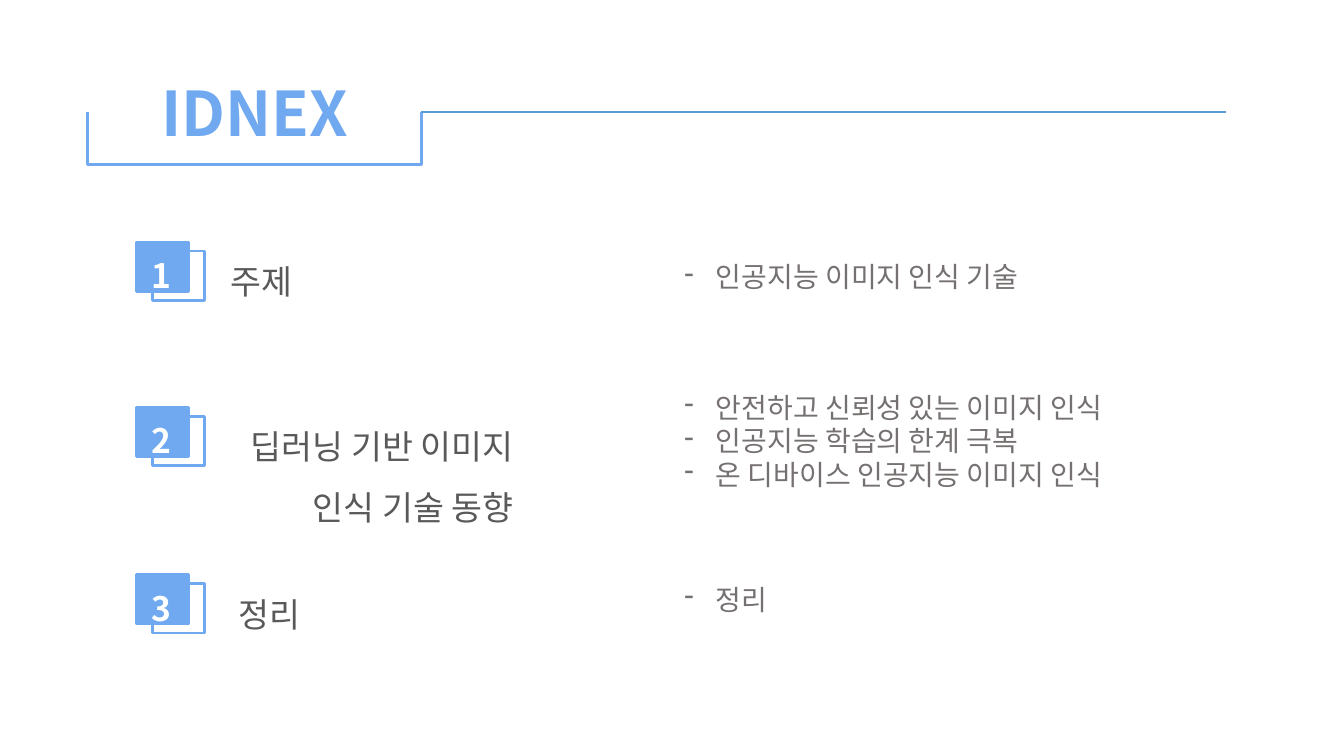
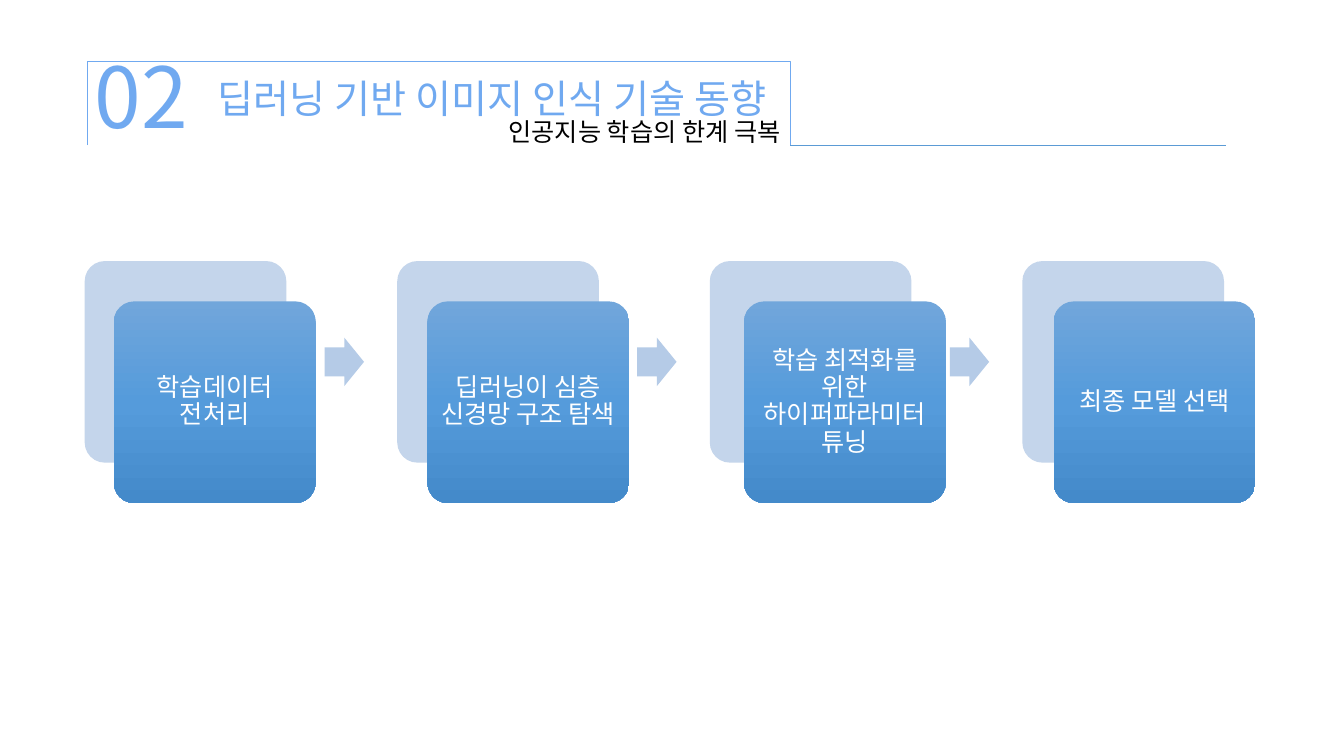
"""Build a two-slide deck on image recognition: an index and a process."""
from copy import deepcopy

from pptx import Presentation
from pptx import util as u
from pptx.dml.color import RGBColor
from pptx.enum import shapes, text
from pptx.oxml import ns, xmlchemy

PX = 9144
FONT = "Noto Sans CJK KR"
BLUE, RULE = "70A9F0", "5B9BD5"
WHITE, BLACK = "FFFFFF", "000000"
LABEL, DETAIL = "595959", "767171"
CARD_BACK, ARROW = "C4D5EB", "B5CBE7"
CARD_STOPS = [(0, "71A6DB"), (0.5, "559BDB"), (1, "448ACA")]
RULE_END = 1216
LEFT, CENTER, RIGHT = text.PP_ALIGN.LEFT, text.PP_ALIGN.CENTER, text.PP_ALIGN.RIGHT
SHAPE = shapes.MSO_SHAPE

TOPICS = [
    (240, 219, 83, LEFT, ["주제"], 253, ["인공지능 이미지 인식 기술"]),
    (404, 227, 292, RIGHT, ["딥러닝 기반 이미지", "인식 기술 동향"], 382,
     ["안전하고 신뢰성 있는 이미지 인식", "인공지능 학습의 한계 극복",
      "온 디바이스 인공지능 이미지 인식"]),
    (570, 227, 83, LEFT, ["정리"], 573, ["정리"]),
]
STEPS = [
    ("학습데이터 전처리", 29),
    ("딥러닝이 심층 신경망 구조 탐색", 30),
    ("학습 최적화를 위한 하이퍼파라미터 튜닝", 34),
    ("최종 모델 선택", 31),
]


def px(length):
    """Turn px into EMU."""
    return u.Emu(round(length * PX))


def rgb(value):
    """Turn a hex string into a colour."""
    return RGBColor.from_string(value)


def add_child(parent, tag, **attributes):
    """Append a drawing element to a parent."""
    child = xmlchemy.OxmlElement(tag)
    for key, value in attributes.items():
        child.set(key, value)
    parent.append(child)


def add_run(paragraph, words, size, color, bold=False):
    """Add one styled run with the deck's font for Latin and Korean."""
    run = paragraph.add_run()
    run.text = words
    run.font.size = u.Pt(size)
    run.font.bold = bold
    run.font.name = FONT
    run.font.color.rgb = rgb(color)
    add_child(run.font._element, "a:ea", typeface=FONT)


def add_text(slide, box, lines, size, color, bold=False, align=LEFT,
             spacing=None, wrap=True, dashed=False):
    """Add a text box with one paragraph per line."""
    frame = slide.shapes.add_textbox(*map(px, box)).text_frame
    frame.word_wrap = wrap
    for index, words in enumerate(lines):
        paragraph = frame.add_paragraph() if index else frame.paragraphs[0]
        paragraph.alignment = align
        if spacing:
            paragraph.line_spacing = spacing
        if dashed:
            properties = paragraph._p.get_or_add_pPr()
            properties.set("marL", str(px(31)))
            properties.set("indent", str(px(-31)))
            add_child(properties, "a:buChar", char="-")
        add_run(paragraph, words, size, color, bold)


def add_figure(slide, kind, box, fill=None, line=None, weight=2):
    """Add a flat preset shape with an optional fill and outline."""
    figure = slide.shapes.add_shape(kind, *map(px, box))
    figure.shadow.inherit = False
    if fill:
        figure.fill.solid()
        figure.fill.fore_color.rgb = rgb(fill)
    else:
        figure.fill.background()
    if line:
        figure.line.color.rgb = rgb(line)
        figure.line.width = u.Pt(weight)
    else:
        figure.line.fill.background()
    return figure


def add_header_frame(slide, box, weight, opens_up):
    """Draw a bracket and the rule that runs on from its open corner."""
    left, top, width, height = box
    upright = (left + (width - height) / 2, top + (height - width) / 2, height, width)
    bracket = add_figure(slide, SHAPE.RIGHT_BRACKET, upright, line=BLUE, weight=weight)
    bracket.adjustments[0] = 0
    bracket.rotation = 90 if opens_up else 270
    level = px(top if opens_up else top + height)
    rule = slide.shapes.add_connector(
        shapes.MSO_CONNECTOR.STRAIGHT, px(left + width), level, px(RULE_END), level)
    rule.line.color.rgb = rgb(RULE)
    rule.line.width = u.Pt(weight)
    add_child(rule._element.spPr, "a:effectLst")


def add_badge(slide, left, top, number):
    """Draw a numbered square with an offset outline."""
    add_figure(slide, SHAPE.RECTANGLE, (left, top, 52, 49), BLUE, BLUE)
    add_figure(slide, SHAPE.RECTANGLE, (left + 16, top + 9, 52, 49), line=BLUE)
    add_text(slide, (left + 5, top - 12, 41, 61), [str(number)], 24, WHITE,
             bold=True, spacing=1.5, wrap=False)


def add_step(slide, left, top, words, shift):
    """Draw a process card in front of its pale backing card."""
    back = add_figure(slide, SHAPE.ROUNDED_RECTANGLE, (left, top, 200, 200), CARD_BACK)
    card = add_figure(slide, SHAPE.ROUNDED_RECTANGLE,
                      (left + shift, top + 40, 200, 200), RULE)
    back.adjustments[0] = card.adjustments[0] = 0.1
    card.fill.gradient()
    card.fill.gradient_angle = 270
    stops = card._element.spPr.find(".//" + ns.qn("a:gsLst"))
    stops.insert(1, deepcopy(stops[0]))
    for stop, (position, color) in zip(card.fill.gradient_stops, CARD_STOPS):
        stop.position = position
        stop.color.rgb = rgb(color)
    frame = card.text_frame
    frame.word_wrap = True
    frame.vertical_anchor = text.MSO_ANCHOR.MIDDLE
    frame.margin_left = frame.margin_right = px(7)
    frame.margin_top = frame.margin_bottom = px(7)
    paragraph = frame.paragraphs[0]
    paragraph.alignment = CENTER
    paragraph.line_spacing = 0.9
    add_run(paragraph, words, 18, WHITE)


def build_index(slide):
    """Lay out the index with its numbered topics."""
    add_header_frame(slide, (87, 111, 331, 52), 1.75, opens_up=True)
    add_text(slide, (135, 69, 235, 84), ["IDNEX"], 44, BLUE, bold=True, align=CENTER)
    for number, topic in enumerate(TOPICS, 1):
        top, left, width, align, label, detail_top, details = topic
        add_badge(slide, 135, top, number)
        add_text(slide, (left, top - 6, width, 4 + 60 * len(label)), label, 24, LABEL,
                 align=align, spacing=1.5, wrap=False)
        add_text(slide, (669, detail_top, 512, 10 + 34 * len(details)), details,
                 20, DETAIL, dashed=True)


def build_process(slide):
    """Lay out the section header and the row of process steps."""
    add_header_frame(slide, (87, 61, 697, 83), 0.5, opens_up=False)
    add_text(slide, (387, 110, 397, 40), ["인공지능 학습의 한계 극복"], 18, BLACK,
             align=RIGHT)
    add_text(slide, (192, 69, 592, 57), ["딥러닝 기반 이미지 인식 기술 동향"], 28, BLUE,
             align=CENTER)
    add_text(slide, (84, 39, 204, 110), ["02"], 60, BLUE)
    left, top, pitch = 84, 259, 310
    for index, (words, shift) in enumerate(STEPS):
        step_left = left + index * pitch
        add_step(slide, step_left, top, words, shift)
        if index < len(STEPS) - 1:
            arrow = add_figure(slide, SHAPE.RIGHT_ARROW,
                               (step_left + 238, top + 76, 39, 48), ARROW)
            arrow.adjustments[0] = 0.6
            arrow.adjustments[1] = 0.5


def main():
    """Create the deck and save it."""
    deck = Presentation()
    deck.slide_width, deck.slide_height = u.Inches(13.33), u.Inches(7.5)
    for build in (build_index, build_process):
        build(deck.slides.add_slide(deck.slide_layouts[6]))
    deck.save("out.pptx")


if __name__ == "__main__":
    main()
